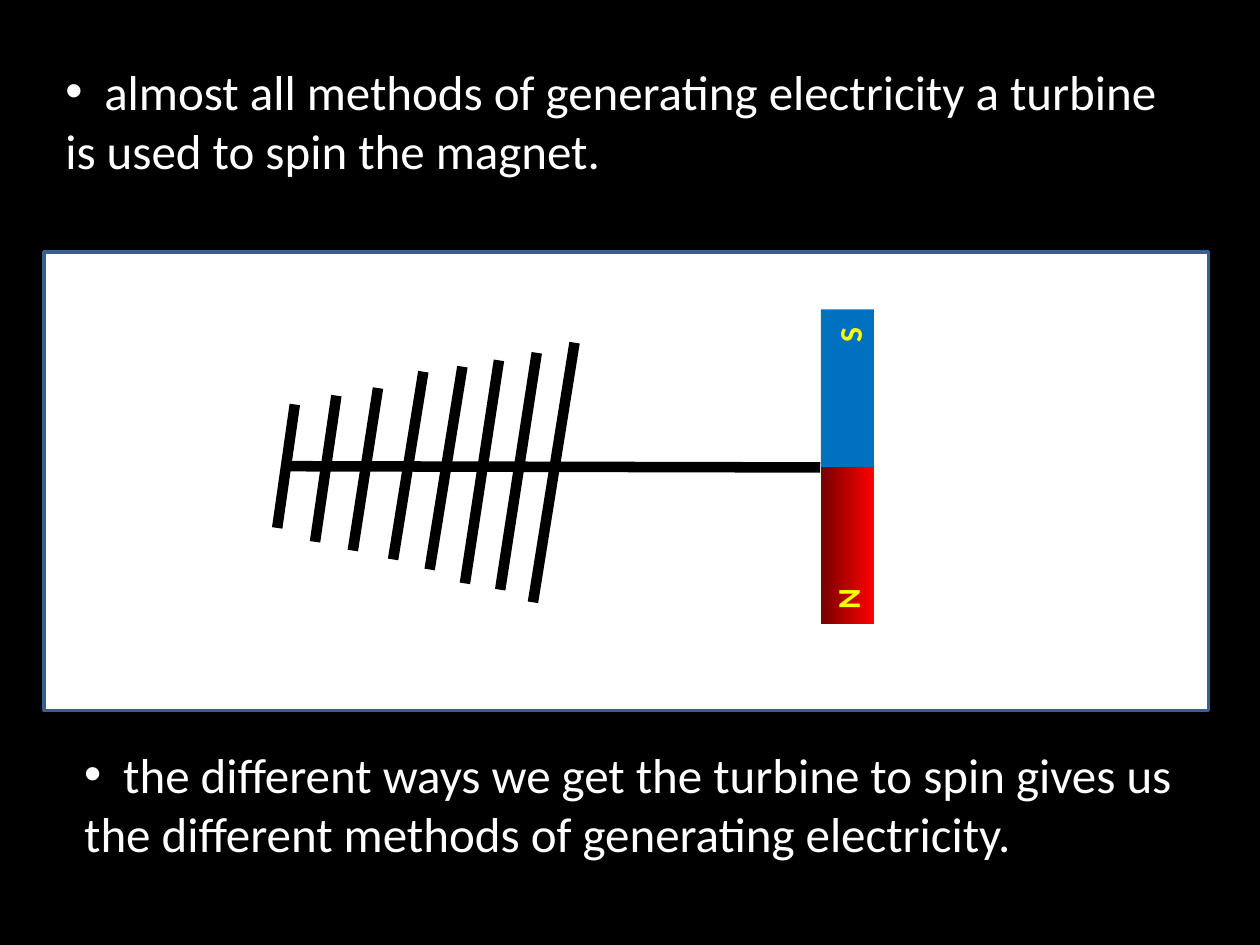
from lxml.etree import SubElement
from pptx import Presentation
from pptx.dml.color import RGBColor
from pptx.enum.shapes import MSO_CONNECTOR, MSO_SHAPE
from pptx.enum.text import MSO_ANCHOR, PP_ALIGN
from pptx.oxml.ns import qn
from pptx.util import Inches, Pt

COLORS = {
    "black": "000000",
    "white": "FFFFFF",
    "frame": "3A5F8C",
    "south": "0070C0",
    "north_dark": "760000",
    "north": "FF0000",
    "pole": "FFFF00",
}
FONT = "Calibri"

# Each blade runs from its top end to its bottom end
BLADES = [
    (4.56, 2.72, 4.23, 4.78),
    (4.26, 2.80, 3.97, 4.68),
    (3.96, 2.86, 3.69, 4.63),
    (3.67, 2.91, 3.41, 4.52),
    (3.36, 2.95, 3.12, 4.44),
    (3.00, 3.08, 2.80, 4.37),
    (2.67, 3.14, 2.50, 4.30),
    (2.34, 3.21, 2.20, 4.19),
]


def color(name):
    return RGBColor.from_string(COLORS[name])


def format_text(para, size, color_name, bold=False):
    for span in para.runs:
        span.font.name = FONT
        span.font.size = Pt(size)
        span.font.bold = bold
        span.font.color.rgb = color(color_name)


def add_bullet(para, indent):
    properties = para._p.get_or_add_pPr()
    properties.set("marL", str(indent))
    properties.set("indent", str(-indent))
    SubElement(properties, qn("a:buFont"), typeface="Arial")
    SubElement(properties, qn("a:buChar"), char="•")


def add_statement(page, left, top, width, lines):
    """A bulleted first line, with the second line back at the margin."""
    box = page.shapes.add_textbox(Inches(left), Inches(top), Inches(width), Inches(1.04))
    frame = box.text_frame
    frame.word_wrap = True
    frame.text = "\n".join(lines)
    for para in frame.paragraphs:
        format_text(para, 28, "white")
    add_bullet(frame.paragraphs[0], Inches(0.31))


def add_rectangle(group, left, top, width, height, fill=None):
    box = group.shapes.add_shape(
        MSO_SHAPE.RECTANGLE, Inches(left), Inches(top), Inches(width), Inches(height)
    )
    box.shadow.inherit = False
    box.line.fill.background()
    if fill:
        box.fill.solid()
        box.fill.fore_color.rgb = color(fill)
    return box


def add_magnet_half(group, top, fill=None):
    half = add_rectangle(group, 6.1, top, 1.25, 0.42, fill)
    half.rotation = 270
    return half


def fill_with_gradient(box, start, end):
    """Left to right on the page, whatever the rotation of the box."""
    box.fill.gradient()
    box.fill.gradient_angle = 0
    for stop, name, position in zip(box.fill.gradient_stops, (start, end), (0, 1)):
        stop.color.rgb = color(name)
        stop.position = position
    box._element.spPr.find(qn("a:gradFill")).set("rotWithShape", "0")


def add_pole_label(group, text, left, top, width):
    box = group.shapes.add_textbox(Inches(left), Inches(top), Inches(width), Inches(0.4))
    box.rotation = 270
    frame = box.text_frame
    frame.word_wrap = False
    frame.vertical_anchor = MSO_ANCHOR.TOP
    frame.text = text
    frame.paragraphs[0].alignment = PP_ALIGN.LEFT
    format_text(frame.paragraphs[0], 18, "pole", bold=True)


def add_rod(group, *ends):
    rod = group.shapes.add_connector(MSO_CONNECTOR.STRAIGHT, *map(Inches, ends))
    rod.line.width = Pt(6)
    rod.line.color.rgb = color("black")
    SubElement(rod._element.spPr, qn("a:effectLst"))


def add_turbine_diagram(page):
    group = page.shapes.add_group_shape()

    # White panel
    panel = add_rectangle(group, 0.35, 2, 9.24, 3.64, "white")
    panel.line.color.rgb = color("frame")
    panel.line.width = Pt(2)

    # Magnet
    fill_with_gradient(add_magnet_half(group, 4.12), "north_dark", "north")
    add_magnet_half(group, 2.87, "south")
    add_pole_label(group, "N", 6.54, 4.55, 0.37)
    add_pole_label(group, "S", 6.58, 2.46, 0.32)

    # Shaft and blades
    add_rod(group, 6.51, 3.71, 2.29, 3.7)
    for blade in BLADES:
        add_rod(group, *blade)


def main():
    deck = Presentation()
    deck.slide_width, deck.slide_height = Inches(10), Inches(7.5)
    page = deck.slides.add_slide(deck.slide_layouts[6])
    page.background.fill.solid()
    page.background.fill.fore_color.rgb = color("black")

    add_statement(page, 0.42, 0.44, 9.13, [
        "almost all methods of generating electricity a turbine",
        "is used to spin the magnet.",
    ])
    add_statement(page, 0.57, 5.86, 9, [
        "the different ways we get the turbine to spin gives us",
        "the different methods of generating electricity.",
    ])
    add_turbine_diagram(page)
    deck.save("out.pptx")


if __name__ == "__main__":
    main()
